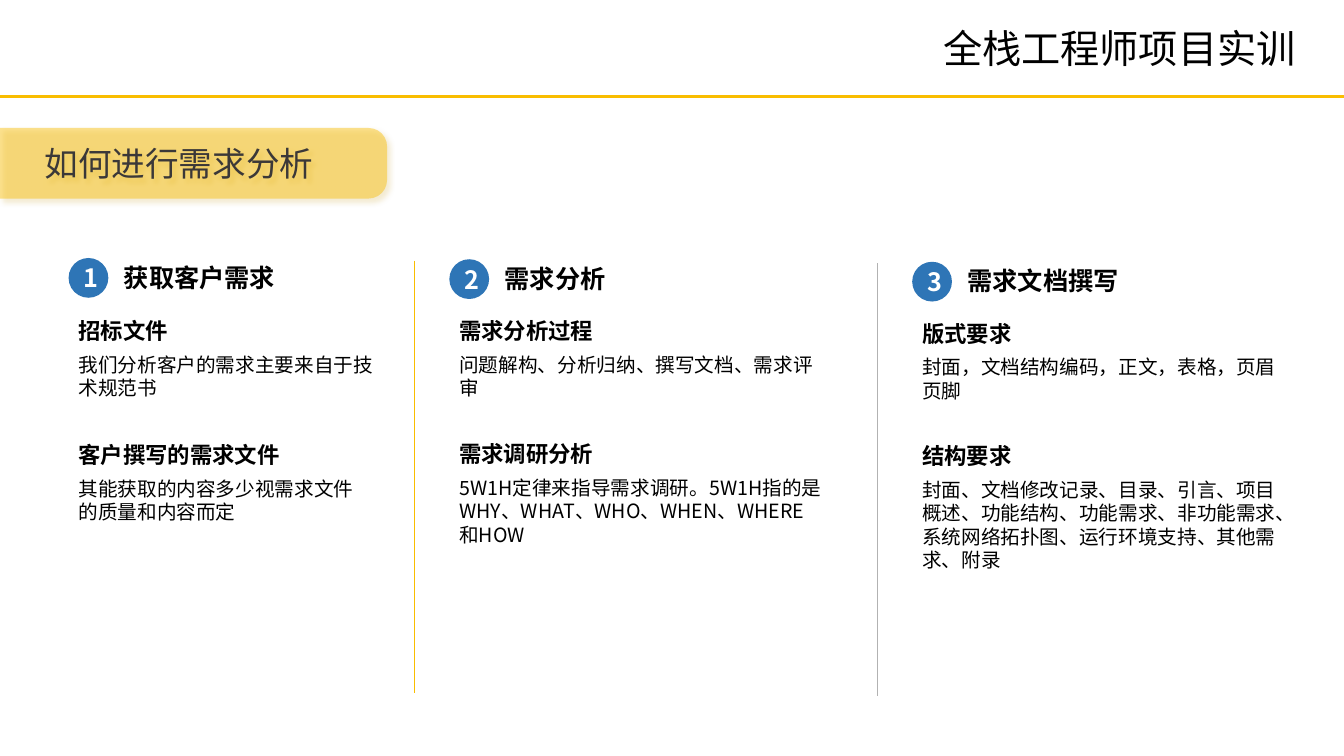
import pptx
import pptx.util
import pptx.dml.color
import pptx.enum.shapes
import pptx.enum.text
import pptx.oxml
import pptx.oxml.ns
from pptx.util import Pt

TITLE = "全栈工程师项目实训"
SUBTITLE = "如何进行需求分析"
COLUMNS = [
    {
        "heading": "获取客户需求", "left": 49, "top": 184.3, "divider": None,
        "blocks": [
            ("招标文件", "我们分析客户的需求主要来自于技术规范书", 223.2, 237, 67),
            ("客户撰写的需求文件", "其能获取的内容多少视需求文件的质量和内容而定", 311.8, 219, 67),
        ],
    },
    {
        "heading": "需求分析", "left": 321, "top": 185.2, "divider": "gold",
        "blocks": [
            ("需求分析过程", "问题解构、分析归纳、撰写文档、需求评审", 223.2, 273, 67),
            ("需求调研分析", "5W1H定律来指导需求调研。5W1H指的是WHY、WHAT、WHO、WHEN、WHERE和HOW",
             311, 273, 84),
        ],
    },
    {
        "heading": "需求文档撰写", "left": 651.6, "top": 187, "divider": "grey",
        "blocks": [
            ("版式要求", "封面，文档结构编码，正文，表格，页眉页脚", 224.8, 273, 67),
            ("结构要求", "封面、文档修改记录、目录、引言、项目概述、功能结构、功能需求、非功能需求、"
             "系统网络拓扑图、运行环境支持、其他需求、附录", 312.5, 273, 101),
        ],
    },
]
THEME = {
    "gold": "F9BD00", "grey": "B2B2B2", "blue": "2E75B6", "shadow": "BF9000",
    "black": "000000", "white": "FFFFFF", "dark": "3B3838",
    "font": "Noto Sans CJK SC", "title_font": "Arial",
    "title": 28, "subtitle": 24, "heading": 18, "label": 16, "body": 14,
}
BADGE = 28.4
CENTER = pptx.enum.text.PP_ALIGN.CENTER
MIDDLE = pptx.enum.text.MSO_ANCHOR.MIDDLE
SHAPES = pptx.enum.shapes.MSO_SHAPE
qn = pptx.oxml.ns.qn


def color(name):
    return pptx.dml.color.RGBColor.from_string(THEME[name])


def add_run(paragraph, text, size, ink="black", bold=False, font="font"):
    run = paragraph.add_run()
    run.text = text
    run.font.size = Pt(THEME[size])
    run.font.bold = bold
    run.font.name = THEME[font]
    run.font.color.rgb = color(ink)
    east_asian = pptx.oxml.parse_xml(
        f'<a:ea {pptx.oxml.ns.nsdecls("a")} typeface="{THEME["font"]}"/>')
    run.font._element.find(qn("a:latin")).addnext(east_asian)


def add_text(left, top, width, height):
    box = slide.shapes.add_textbox(Pt(left), Pt(top), Pt(width), Pt(height))
    box.text_frame.word_wrap = True
    return box.text_frame


def add_line(start_x, start_y, end_x, end_y, ink, weight):
    line = slide.shapes.add_connector(
        pptx.enum.shapes.MSO_CONNECTOR.STRAIGHT,
        Pt(start_x), Pt(start_y), Pt(end_x), Pt(end_y))
    line.line.color.rgb = color(ink)
    line.line.width = Pt(weight)
    line._element.spPr.append(pptx.oxml.parse_xml(
        f'<a:effectLst {pptx.oxml.ns.nsdecls("a")}/>'))


def add_filled(kind, left, top, width, height, ink):
    shape = slide.shapes.add_shape(kind, Pt(left), Pt(top), Pt(width), Pt(height))
    shape.shadow.inherit = False
    shape.fill.solid()
    shape.fill.fore_color.rgb = color(ink)
    shape.line.fill.background()
    shape.text_frame.vertical_anchor = MIDDLE
    shape.text_frame.paragraphs[0].alignment = CENTER
    return shape


def add_banner():
    banner = add_filled(SHAPES.ROUND_2_SAME_RECTANGLE, 113, -21.6, 50.4, 276.5, "gold")
    banner.rotation = 90
    banner.adjustments[0] = 0.262
    banner.adjustments[1] = 0
    properties = banner._element.spPr
    fill_color = properties.find(qn("a:solidFill")).find(qn("a:srgbClr"))
    fill_color.append(pptx.oxml.parse_xml(
        f'<a:alpha {pptx.oxml.ns.nsdecls("a")} val="44000"/>'))
    properties.find(qn("a:effectLst")).append(pptx.oxml.parse_xml(
        f'<a:outerShdw {pptx.oxml.ns.nsdecls("a")} blurRad="{Pt(4)}" dist="{Pt(3)}" '
        f'dir="2700000" algn="tl" rotWithShape="0"><a:srgbClr val="{THEME["shadow"]}">'
        '<a:alpha val="40000"/></a:srgbClr></a:outerShdw>'))
    frame = banner.text_frame
    frame._txBody.bodyPr.set("vert", "vert270")
    frame.margin_top = Pt(24)
    add_run(frame.paragraphs[0], SUBTITLE, "subtitle", "dark")


def add_column(number, column):
    left, top = column["left"], column["top"]
    if column["divider"]:
        add_line(left - 25.2, top + 1, left - 25.2, top + 310, column["divider"], 0.5)
    badge = add_filled(SHAPES.OVAL, left, top, BADGE, BADGE, "blue")
    frame = badge.text_frame
    frame.margin_left = Pt(3.6)
    frame.margin_right = frame.margin_top = frame.margin_bottom = 0
    add_run(frame.paragraphs[0], str(number), "heading", "white", True)
    heading = add_text(left + 32.4, top - 0.7, 165, 29)
    add_run(heading.paragraphs[0], column["heading"], "heading", bold=True)
    for label, body, block_top, width, height in column["blocks"]:
        frame = add_text(left, block_top, width, height)
        frame.paragraphs[0].space_after = Pt(6)
        add_run(frame.paragraphs[0], label, "label", bold=True)
        add_run(frame.add_paragraph(), body, "body")


presentation = pptx.Presentation()
presentation.slide_width = Pt(960)
presentation.slide_height = Pt(540)
slide = presentation.slides.add_slide(presentation.slide_layouts[6])

add_line(0, 69, 960, 69, "gold", 2.25)
title = add_text(658, 13.7, 283, 41)
title.paragraphs[0].alignment = CENTER
add_run(title.paragraphs[0], TITLE, "title", font="title_font")
add_banner()
for number, column in enumerate(COLUMNS, 1):
    add_column(number, column)

presentation.save("out.pptx")
